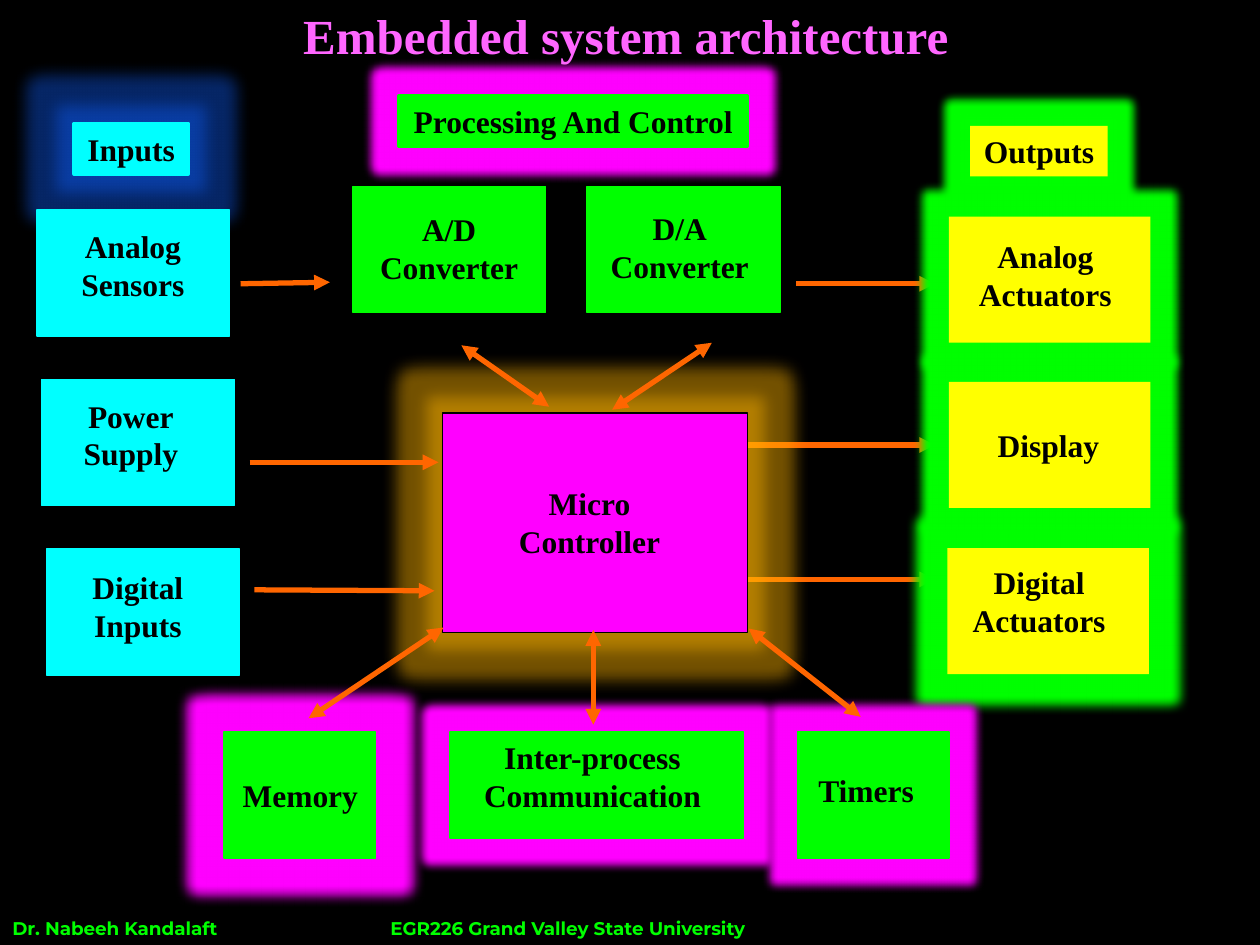
from lxml.etree import SubElement
from pptx import Presentation
from pptx.dml.color import RGBColor
from pptx.enum.shapes import MSO_CONNECTOR as Connector, MSO_SHAPE as Preset
from pptx.enum.text import MSO_ANCHOR as Anchor, MSO_AUTO_SIZE as AutoSize, PP_ALIGN as Align
from pptx.oxml.ns import qn
from pptx.util import Cm, Pt

THEME = {
    "background": "000000", "text": "000000", "title": "FF66FF", "footer": "00FF00",
    "input": "00FFFF", "process": "00FF00", "output": "FFFF00", "core": "FF00FF",
    "arrow": "FF6600", "blue": "1060FF", "gold": "FFB400",
    "font": "Times New Roman", "footer_font": "Montserrat",
    "title_size": 28, "label_size": 18, "footer_size": 10.5,
}
OUTLINES = {"input": ("input", 1), "process": ("process", 1), "core": ("text", 1), "output": None}
LABEL_HEIGHTS = {1: 1.02, 2: 1.8}

INPUT_SIZE, OUTPUT_SIZE, SERVICE_SIZE = (3.89, 2.54), (4.06, 2.54), (3.05, 2.54)
PINK, WIDE_PINK = ("core", 10, 100), ("core", 14, 100)
GREEN, WIDE_GREEN = ("process", 10, 100), ("process", 12, 100)
BLUE, GOLD = ("blue", 18, 40), ("gold", 18, 45)

# kind, block corner, block size, label (left, top, width), lines, glow
CARDS = [
    ("process", (4.52, 14.76), SERVICE_SIZE, (4.62, 15.52, 2.87), ["Memory"], WIDE_PINK),
    ("core", (8.92, 8.33), (6.15, 4.42), (9.42, 9.63, 4.93), ["Micro", "Controller"], GOLD),
    ("input", (0.84, 7.65), INPUT_SIZE, (1.42, 7.87, 2.44), ["Power", "Supply"], None),
    ("output", (19.1, 11.05), OUTPUT_SIZE, (19.35, 11.23, 3.2), ["Digital", "Actuators"], WIDE_GREEN),
    ("input", (0.94, 11.07), INPUT_SIZE, (1.6, 11.33, 2.36), ["Digital", "Inputs"], None),
    ("output", (19.13, 7.7), OUTPUT_SIZE, (19.79, 8.46, 2.69), ["Display"], GREEN),
    ("process", (16.08, 14.76), SERVICE_SIZE, (16.23, 15.42, 2.46), ["Timers"], PINK),
    ("process", (9.07, 14.76), (5.92, 2.13), (9.47, 14.76, 4.95), ["Inter-process", "Communication"], PINK),
]
HEADERS = [
    ("input", (1.5, 2.49, 2.29), "Inputs", BLUE),
    ("process", (8.05, 1.93, 7.01), "Processing And Control", PINK),
    ("output", (19.56, 2.54, 2.77), "Outputs", GREEN),
]
ANALOG_CARDS = [
    ("process", (7.11, 3.76), INPUT_SIZE, (7.39, 4.11, 3.33), ["A/D", "Converter"], None),
    ("process", (11.84, 3.76), INPUT_SIZE, (12.04, 4.09, 3.33), ["D/A", "Converter"], None),
    ("input", (0.74, 4.24), INPUT_SIZE, (1.37, 4.45, 2.62), ["Analog", "Sensors"], None),
    ("output", (19.13, 4.37), OUTPUT_SIZE, (19.46, 4.65, 3.23), ["Analog", "Actuators"], GREEN),
]
OUTPUT_ARROWS = [
    (14.66, 11.68, 18.85, 11.68), (14.58, 8.97, 18.85, 8.97), (16.05, 5.72, 18.85, 5.72),
]
INPUT_ARROWS = [
    (5.13, 11.89, 8.76, 11.91), (5.03, 9.32, 8.84, 9.32), (4.85, 5.72, 6.65, 5.69),
]
EXCHANGE_ARROWS = [
    (11.96, 14.61, 11.96, 12.7), (14.35, 6.91, 12.34, 8.26), (9.3, 6.96, 11.07, 8.2),
    (6.22, 14.48, 8.94, 12.65), (15.09, 12.67, 17.35, 14.45),
]
TITLE = "Embedded system architecture"
FOOTER = "Dr. Nabeeh Kandalaft\tEGR226 Grand Valley State University"


def color(name):
    return RGBColor.from_string(THEME[name])


def add_rectangle(host, box, fill, outline=None, glow=None):
    shape = host.add_shape(Preset.RECTANGLE, *map(Cm, box))
    shape.shadow.inherit = False
    shape.fill.solid()
    shape.fill.fore_color.rgb = color(fill)
    if outline:
        shape.line.color.rgb = color(outline[0])
        shape.line.width = Pt(outline[1])
    else:
        shape.line.fill.background()
    if glow:
        name, radius, opacity = glow
        effects = shape.element.spPr.find(qn("a:effectLst"))
        halo = SubElement(effects, qn("a:glow"), rad=str(Pt(radius)))
        tint = SubElement(halo, qn("a:srgbClr"), val=THEME[name])
        SubElement(tint, qn("a:alpha"), val=str(opacity * 1000))
    return shape


def write(shape, lines, size="label_size", ink="text", font="font", align=Align.CENTER,
          anchor=Anchor.TOP, wrap=False, tab=None):
    frame = shape.text_frame
    frame.text = "\n".join(lines)
    frame.word_wrap = wrap
    frame.auto_size = AutoSize.SHAPE_TO_FIT_TEXT
    frame.vertical_anchor = anchor
    for paragraph in frame.paragraphs:
        paragraph.alignment = align
        if tab:
            stops = SubElement(paragraph._p.get_or_add_pPr(), qn("a:tabLst"))
            SubElement(stops, qn("a:tab"), pos=str(Cm(tab)), algn="l")
        paragraph.font.name = THEME[font]
        paragraph.font.size = Pt(THEME[size])
        paragraph.font.bold = True
        paragraph.font.color.rgb = color(ink)
    return frame.paragraphs[0]


def add_card(slide, kind, corner, size, label, lines, glow):
    host = slide.shapes.add_group_shape().shapes
    add_rectangle(host, corner + size, kind, OUTLINES[kind], glow)
    write(host.add_textbox(*map(Cm, label + (LABEL_HEIGHTS[len(lines)],))), lines)


def add_header(slide, kind, label, text, glow):
    outline = OUTLINES[kind] and (kind, 2.25)
    write(add_rectangle(slide.shapes, label + (LABEL_HEIGHTS[1],), kind, outline, glow), [text])


def add_arrow(slide, ends, both=False):
    connector = slide.shapes.add_connector(Connector.STRAIGHT, *map(Cm, ends))
    connector.line.color.rgb = color("arrow")
    connector.line.width = Pt(3)
    properties = connector.element.spPr
    for tag in ["a:headEnd", "a:tailEnd"] if both else ["a:tailEnd"]:
        SubElement(properties.find(qn("a:ln")), qn(tag), type="triangle")
    SubElement(properties, qn("a:effectLst"))


def add_title(slide):
    box = slide.shapes.add_textbox(Cm(0.13), Cm(0.1), Cm(24.97), Cm(1.35))
    paragraph = write(box, [TITLE], "title_size", "title", anchor=Anchor.MIDDLE, wrap=True)
    paragraph.line_spacing = 0.9


def add_footer(slide):
    shape = add_rectangle(slide.shapes, (0, 18.36, 25.4, 0.71), "background")
    write(shape, [FOOTER], "footer_size", "footer", "footer_font", Align.LEFT, wrap=True, tab=7.62)


def main():
    """Build the embedded system architecture slide."""
    presentation = Presentation()
    presentation.slide_width, presentation.slide_height = Cm(25.4), Cm(19.05)
    slide = presentation.slides.add_slide(presentation.slide_layouts[6])
    slide.background.fill.solid()
    slide.background.fill.fore_color.rgb = color("background")
    for ends in OUTPUT_ARROWS:
        add_arrow(slide, ends)
    for card in CARDS:
        add_card(slide, *card)
    for header in HEADERS:
        add_header(slide, *header)
    add_title(slide)
    add_footer(slide)
    for card in ANALOG_CARDS:
        add_card(slide, *card)
    for ends in INPUT_ARROWS:
        add_arrow(slide, ends)
    for ends in EXCHANGE_ARROWS:
        add_arrow(slide, ends, both=True)
    presentation.save("out.pptx")


if __name__ == "__main__":
    main()
